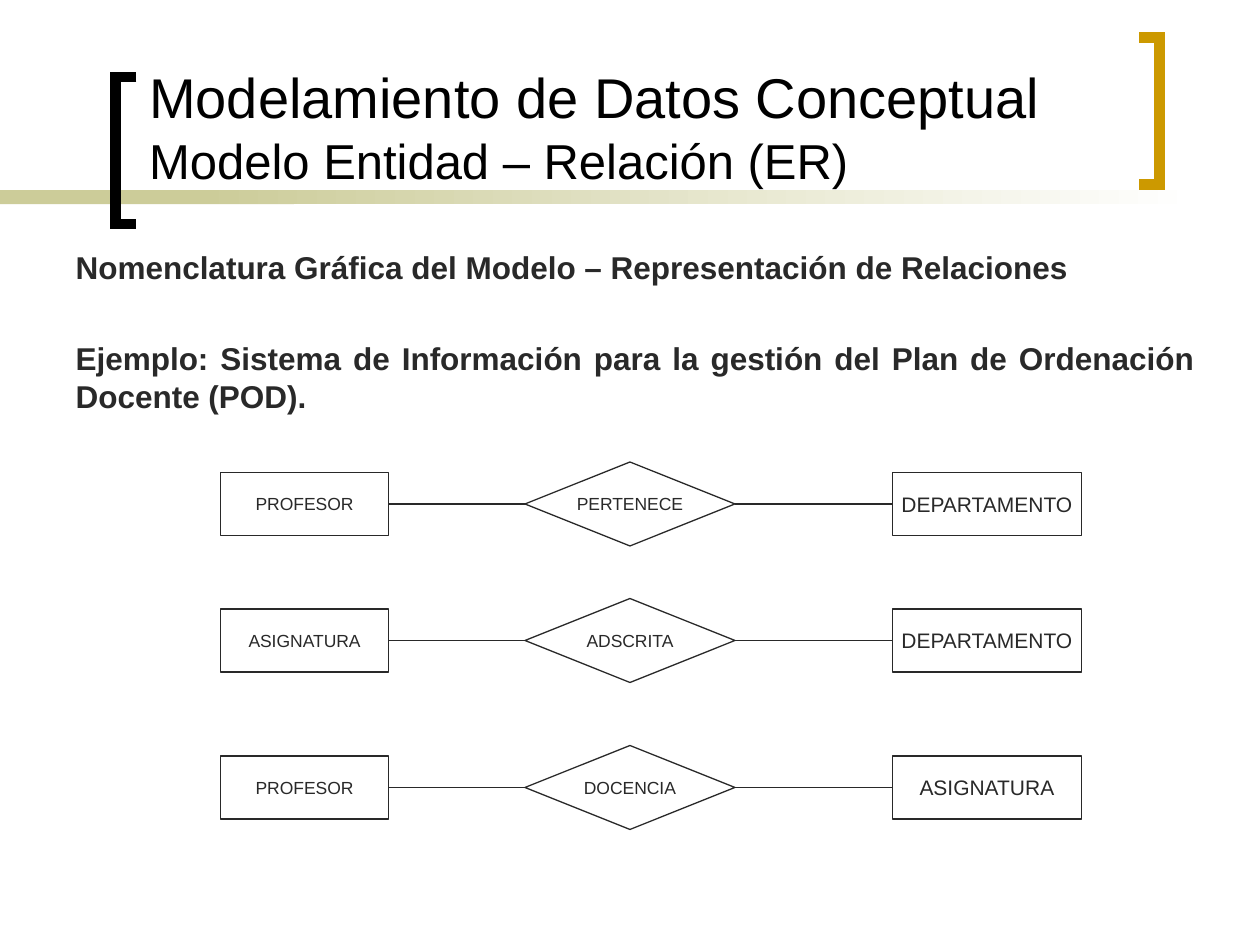
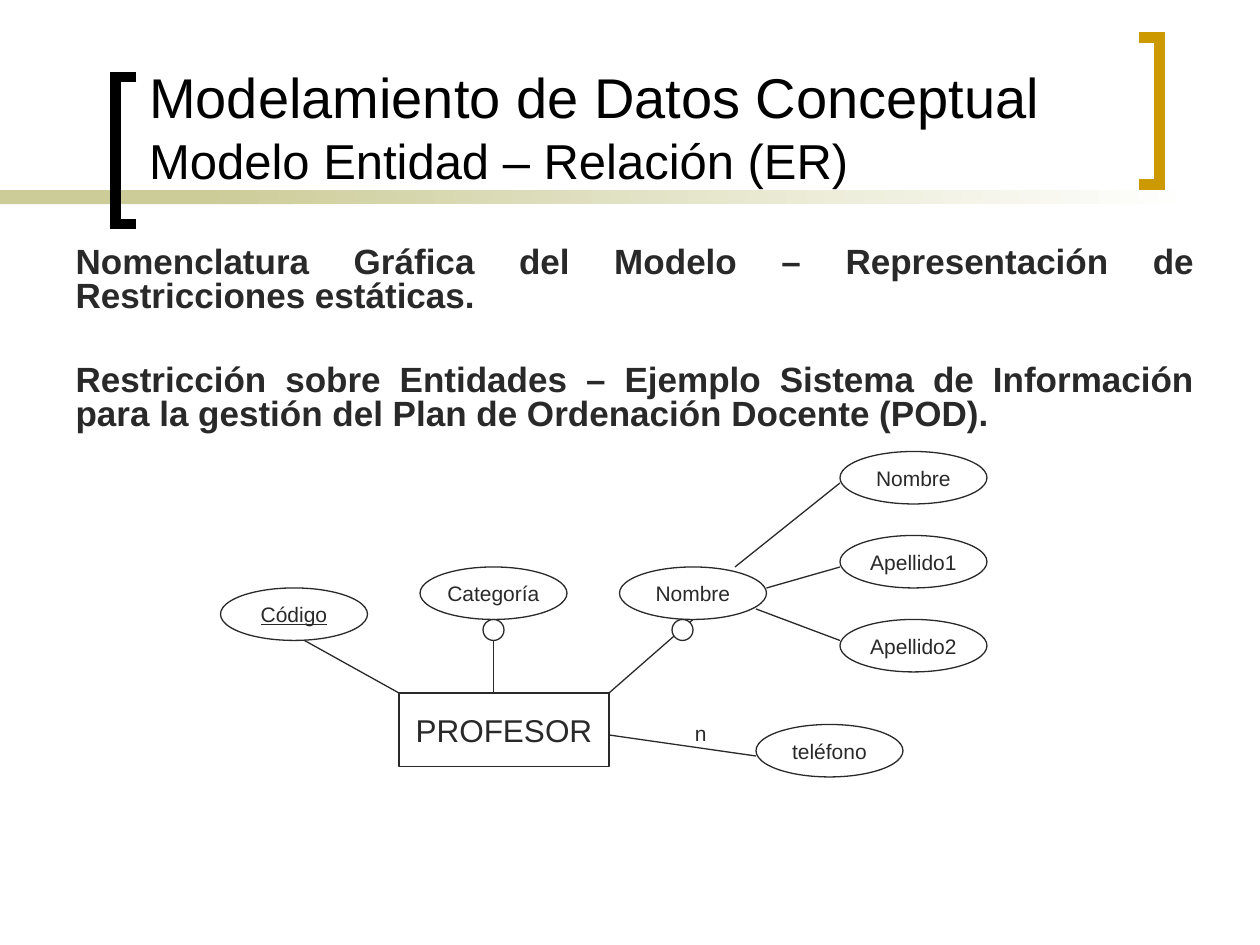
"""Builds two slides on the notation of the entity-relationship model."""
from lxml import etree
from pptx import Presentation
from pptx.dml.color import RGBColor
from pptx.enum.shapes import MSO_CONNECTOR, MSO_SHAPE
from pptx.enum.text import MSO_ANCHOR, MSO_AUTO_SIZE, PP_ALIGN
from pptx.oxml.ns import qn
from pptx.util import Pt

RECTANGLE, DIAMOND, OVAL = MSO_SHAPE.RECTANGLE, MSO_SHAPE.FLOWCHART_DECISION, MSO_SHAPE.OVAL
STRAIGHT = MSO_CONNECTOR.STRAIGHT
LEFT, CENTER, JUSTIFY = PP_ALIGN.LEFT, PP_ALIGN.CENTER, PP_ALIGN.JUSTIFY
TOP, MIDDLE, BOTTOM = MSO_ANCHOR.TOP, MSO_ANCHOR.MIDDLE, MSO_ANCHOR.BOTTOM

COLORS = {"ink": "292929", "black": "000000", "gold": "CC9900", "olive": "CCCC99", "white": "FFFFFF"}
FONT = "Arial"
TITLE_LINES = (("Modelamiento de Datos Conceptual", 32), ("Modelo Entidad – Relación (ER)", 28))
OVAL_SIZE = (84, 30)


def color(name):
    return RGBColor.from_string(COLORS[name])


def apply_formats(target, formats):
    for name, value in formats.items():
        setattr(target, name, value)


def place(shape, left, top, width, height):
    apply_formats(shape, {"left": Pt(left), "top": Pt(top), "width": Pt(width), "height": Pt(height)})


def add_span(para, text, size, ink="ink", **formats):
    span = para.add_run()
    span.text = text
    apply_formats(span.font, {"name": FONT, "size": Pt(size), "bold": False, **formats})
    span.font.color.rgb = color(ink)


def set_line(shape, ink="ink", width=0.75):
    shape.line.color.rgb = color(ink)
    shape.line.width = Pt(width)


def add_band(page, left, width):
    band = page.shapes.add_shape(RECTANGLE, Pt(left), Pt(108.7), Pt(width), Pt(8))
    band.shadow.inherit = False
    band.line.fill.background()
    return band.fill


def add_bracket(page, spine, tip, top, ink):
    bottom = top + 84
    outline = page.shapes.build_freeform(Pt(tip), Pt(top), scale=1.0)
    corners = [(spine, top), (spine, bottom), (tip, bottom)]
    outline.add_line_segments([(Pt(x), Pt(y)) for x, y in corners], close=False)
    bracket = outline.convert_to_shape()
    bracket.shadow.inherit = False
    bracket.fill.background()
    set_line(bracket, ink, 6)
    etree.SubElement(bracket.line._get_or_add_ln(), qn("a:miter"), lim="800000")


def add_frame(page):
    solid = add_band(page, 0, 168)
    solid.solid()
    solid.fore_color.rgb = color("olive")
    fade = add_band(page, 114, 570)
    fade.gradient()
    fade.gradient_angle = 0
    for stop, (position, name) in zip(fade.gradient_stops, ((0, "olive"), (1, "white"))):
        stop.position = position
        stop.color.rgb = color(name)
    add_bracket(page, 66, 78, 44, "black")
    add_bracket(page, 662.5, 651, 21.5, "gold")


def set_title(page):
    title = page.shapes.title
    place(title, 78, 0, 576, 111.6)
    apply_formats(title.text_frame, {"vertical_anchor": BOTTOM, "auto_size": MSO_AUTO_SIZE.NONE})
    para = title.text_frame.paragraphs[0]
    para.alignment = LEFT
    (first, first_size), (second, second_size) = TITLE_LINES
    add_span(para, first, first_size, "black")
    para.add_line_break()
    add_span(para, second, second_size, "black")


def set_body(page, texts, size, height, gap, line_spacing):
    body = page.placeholders[1]
    place(body, 36, 138, 654, height)
    frame = body.text_frame
    apply_formats(frame, {"vertical_anchor": TOP, "auto_size": MSO_AUTO_SIZE.NONE})
    for index, text in enumerate(texts):
        para = frame.add_paragraph() if index else frame.paragraphs[0]
        apply_formats(para, {"alignment": JUSTIFY, "line_spacing": line_spacing,
                             "space_before": Pt(gap if index else 0)})
        properties = para._p.get_or_add_pPr()
        properties.set("marL", "0")
        properties.set("indent", "0")
        etree.SubElement(properties, qn("a:buNone"))
        add_span(para, text, size, bold=True)


def add_page(deck, **body):
    page = deck.slides.add_slide(deck.slide_layouts[1])
    add_frame(page)
    set_title(page)
    set_body(page, **body)
    return page


def add_node(page, kind, left, top, width, height, text, size=12, **formats):
    node = page.shapes.add_shape(kind, Pt(left), Pt(top), Pt(width), Pt(height))
    node.shadow.inherit = False
    node.fill.background()
    set_line(node)
    apply_formats(node.text_frame, {"vertical_anchor": MIDDLE, "word_wrap": False})
    para = node.text_frame.paragraphs[0]
    para.alignment = CENTER
    add_span(para, text, size, **formats)


def add_link(page, start_x, start_y, end_x, end_y):
    link = page.shapes.add_connector(STRAIGHT, Pt(start_x), Pt(start_y), Pt(end_x), Pt(end_y))
    set_line(link)
    etree.SubElement(link._element.spPr, qn("a:effectLst"))


def add_optional_mark(page, left):
    mark = page.shapes.add_shape(OVAL, Pt(left), Pt(354), Pt(12), Pt(12))
    mark.shadow.inherit = False
    mark.fill.solid()
    mark.fill.fore_color.rgb = color("white")
    set_line(mark)


def add_label(page, left, top, text):
    box = page.shapes.add_textbox(Pt(left), Pt(top), Pt(30), Pt(21.6))
    box.text_frame.word_wrap = True
    add_span(box.text_frame.paragraphs[0], text, 12)


def add_relation(page, middle, source, relation, target):
    add_node(page, RECTANGLE, 126, middle - 18, 96, 36, source, 10)
    add_node(page, RECTANGLE, 510, middle - 18, 108, 36, target)
    add_node(page, DIAMOND, 300, middle - 24, 120, 48, relation, 10)
    add_link(page, 222, middle, 300, middle)
    add_link(page, 420, middle, 510, middle)


def build_relations(deck):
    page = add_page(
        deck, size=18, height=108, gap=30.7, line_spacing=1.0,
        texts=("Nomenclatura Gráfica del Modelo – Representación de Relaciones",
               "Ejemplo: Sistema de Información para la gestión del Plan de Ordenación Docente (POD)."))
    add_relation(page, 288, "PROFESOR", "PERTENECE", "DEPARTAMENTO")
    add_relation(page, 366, "ASIGNATURA", "ADSCRITA", "DEPARTAMENTO")
    add_relation(page, 450, "PROFESOR", "DOCENCIA", "ASIGNATURA")


def build_restrictions(deck):
    page = add_page(
        deck, size=20, height=126, gap=29, line_spacing=0.8,
        texts=("Nomenclatura Gráfica del Modelo – Representación de Restricciones estáticas.",
               "Restricción sobre Entidades – Ejemplo Sistema de Información para la gestión "
               "del Plan de Ordenación Docente (POD)."))
    add_node(page, RECTANGLE, 228, 396, 120, 42, "PROFESOR", 18)
    add_node(page, OVAL, 126, 336, *OVAL_SIZE, "Código", underline=True)
    attributes = (("Categoría", 240, 324), ("Nombre", 354, 324), ("teléfono", 432, 414))
    name_parts = [(text, 480, 258 + 48 * row)
                  for row, text in enumerate(("Nombre", "Apellido1", "Apellido2"))]
    for text, left, top in (*attributes, *name_parts):
        add_node(page, OVAL, left, top, *OVAL_SIZE, text)
    entity_links = ((174, 366, 228, 396), (282, 354, 282, 396),
                    (396, 354, 348, 396), (432, 432, 348, 420))
    name_links = ((420, 324, 480, 276), (438, 336, 480, 324), (432, 348, 480, 366))
    for ends in entity_links + name_links:
        add_link(page, *ends)
    for left in (276, 384):
        add_optional_mark(page, left)
    add_label(page, 390, 408, "n")


def main():
    deck = Presentation()
    apply_formats(deck, {"slide_width": Pt(720), "slide_height": Pt(540)})
    build_relations(deck)
    build_restrictions(deck)
    deck.save("out.pptx")


if __name__ == "__main__":
    main()
